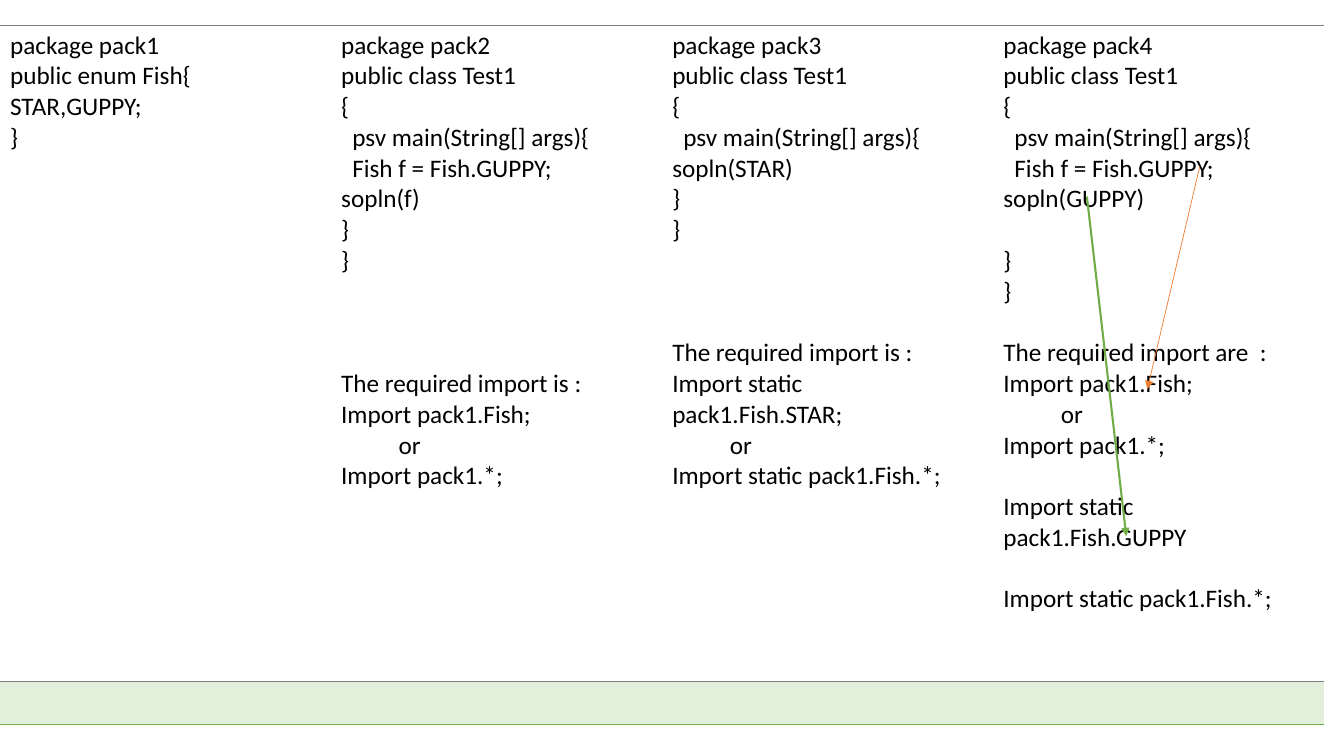
from dataclasses import dataclass

from lxml.etree import SubElement
from pptx import Presentation
from pptx.dml.color import RGBColor
from pptx.enum.shapes import MSO_CONNECTOR
from pptx.oxml import parse_xml
from pptx.oxml.ns import nsdecls, qn
from pptx.util import Inches, Pt


@dataclass(frozen=True)
class Theme:
    font: str = "Calibri"
    size: int = 18
    line_height: int = 22
    text: str = "000000"
    green: str = "70AD47"
    pale_green: str = "E2EFDA"
    orange: str = "ED7D31"
    grey: str = "7F7F7F"


@dataclass(frozen=True)
class Line:
    text: str
    gap: int = 0        # empty lines above
    indent: float = 0   # inches


class SlideBuilder:
    """Places elements on one slide; lengths are percentages of its size."""

    def __init__(self, presentation, theme):
        self.theme = theme
        self.width = presentation.slide_width
        self.height = presentation.slide_height
        self.slide = presentation.slides.add_slide(presentation.slide_layouts[6])

    def across(self, percent):
        return int(self.width * percent / 100)

    def down(self, percent):
        return int(self.height * percent / 100)

    def table(self, left, top, width, row_heights, column_count):
        frame = self.slide.shapes.add_table(
            len(row_heights), column_count, self.across(left), self.down(top),
            self.across(width), self.down(sum(row_heights)))
        table = frame.table
        table.first_row = table.horz_banding = False
        for row, height in zip(table.rows, row_heights):
            row.height = self.down(height)
        return table

    def cell(self, cell, lines=(), fill=None, borders=None):
        cell.fill.background()
        if fill:
            cell.fill.solid()
            cell.fill.fore_color.rgb = RGBColor.from_string(fill)
        self.borders(cell, borders or {})
        for index, line in enumerate(lines):
            frame = cell.text_frame
            paragraph = frame.add_paragraph() if index else frame.paragraphs[0]
            self.paragraph(paragraph, line)

    def borders(self, cell, colors):
        properties = cell._tc.get_or_add_tcPr()
        for position, side in enumerate(("lnL", "lnR", "lnT", "lnB")):
            color = colors.get(side)
            paint = (f'<a:solidFill><a:srgbClr val="{color}"/></a:solidFill>'
                     if color else "<a:noFill/>")
            border = parse_xml(
                f'<a:{side} {nsdecls("a")} w="{Pt(1)}">{paint}</a:{side}>')
            properties.insert(position, border)

    def paragraph(self, paragraph, line):
        paragraph.text = line.text
        paragraph.space_before = Pt(line.gap * self.theme.line_height)
        paragraph.font.name = self.theme.font
        paragraph.font.size = Pt(self.theme.size)
        paragraph.font.color.rgb = RGBColor.from_string(self.theme.text)
        if line.indent:
            paragraph._p.get_or_add_pPr().set("marL", str(Inches(line.indent)))

    def arrow(self, start, end, color, weight):
        connector = self.slide.shapes.add_connector(
            MSO_CONNECTOR.STRAIGHT, self.across(start[0]), self.down(start[1]),
            self.across(end[0]), self.down(end[1]))
        connector.line.color.rgb = RGBColor.from_string(color)
        connector.line.width = Pt(weight)
        SubElement(connector.line._get_or_add_ln(), qn("a:tailEnd"), type="triangle")
        SubElement(connector._element.spPr, qn("a:effectLst"))


def class_header(package):
    return [Line(f"package {package}"), Line("public class Test1"), Line("{"),
            Line("psv main(String[] args){", indent=0.11)]


# Lines shared by the code listings
CLOSE = Line("}")
FISH = Line("Fish f = Fish.GUPPY;", indent=0.11)
OR = Line("or", indent=0.57)
FISH_IMPORTS = [Line("Import pack1.Fish;"), OR, Line("Import pack1.*;")]
STATIC_ALL = "Import static pack1.Fish.*;"
REQUIRED = "The required import is :"

LISTINGS = [
    [Line("package pack1"), Line("public enum Fish{"), Line("STAR,GUPPY;"), CLOSE],
    [*class_header("pack2"), FISH, Line("sopln(f)"), CLOSE, CLOSE,
     Line(REQUIRED, gap=3), *FISH_IMPORTS],
    [*class_header("pack3"), Line("sopln(STAR)"), CLOSE, CLOSE,
     Line(REQUIRED, gap=3), Line("Import static\vpack1.Fish.STAR;"), OR,
     Line(STATIC_ALL)],
    [*class_header("pack4"), FISH, Line("sopln(GUPPY)"), Line("}", gap=1), CLOSE,
     Line("The required import are  :", gap=1), *FISH_IMPORTS,
     Line("Import static pack1.Fish.GUPPY", gap=1), Line(STATIC_ALL, gap=1)],
]

presentation = Presentation()
presentation.slide_width = Inches(13.33)
presentation.slide_height = Inches(7.5)
theme = Theme()
builder = SlideBuilder(presentation, theme)

# Code listings above a tinted footer row
table = builder.table(0, 3.33, 98.55, (86.8, 5.73), len(LISTINGS))
for column, listing in enumerate(LISTINGS):
    builder.cell(table.cell(0, column), listing,
                 borders={"lnT": theme.grey, "lnB": theme.grey})
    builder.cell(table.cell(1, column), fill=theme.pale_green,
                 borders={"lnT": theme.grey, "lnB": theme.green})

# Arrows from each use of GUPPY to the import it needs
builder.arrow((89.27, 22), (85.37, 51.47), theme.orange, 0.5)
builder.arrow((80.87, 26), (83.8, 70.93), theme.green, 1.5)

presentation.save("out.pptx")
